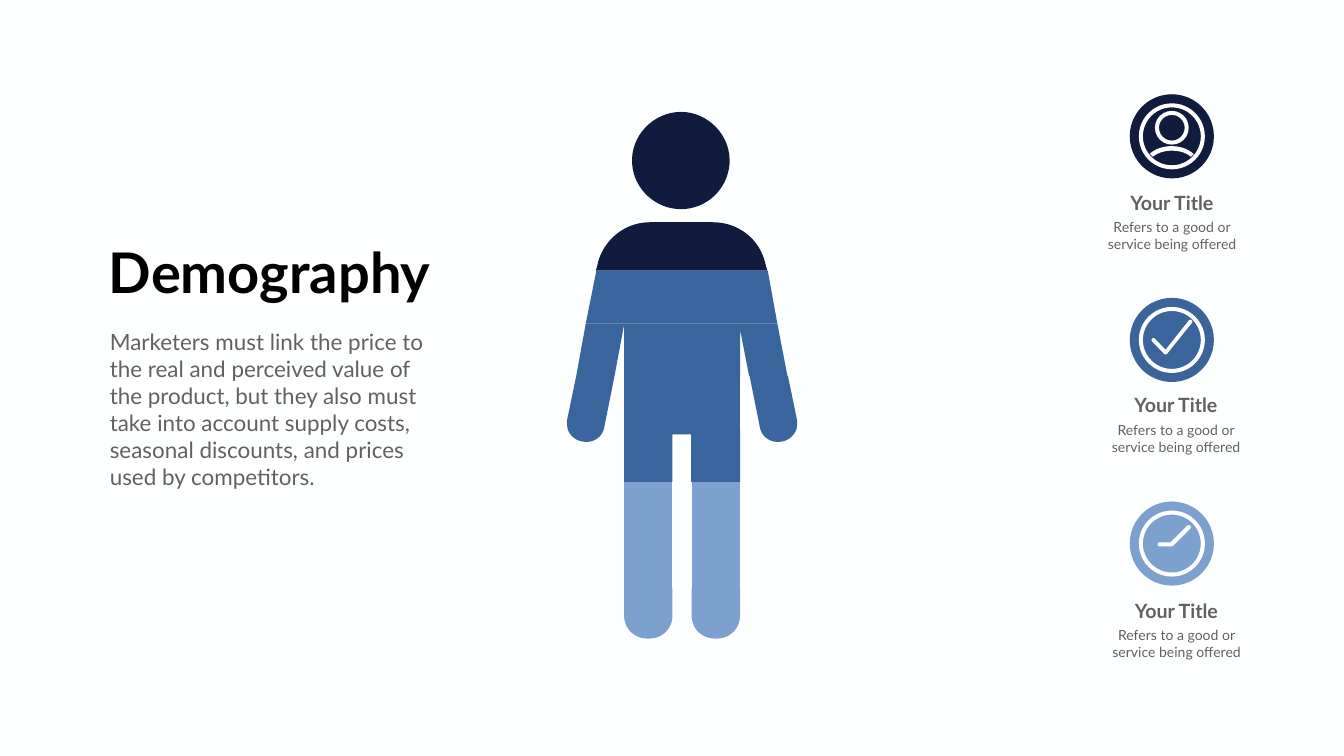
import pptx
import pptx.util
import pptx.dml.color
import pptx.enum.shapes
import pptx.enum.text

Inches = pptx.util.Inches
RGBColor = pptx.dml.color.RGBColor
SHAPES = pptx.enum.shapes.MSO_SHAPE
ALIGN = pptx.enum.text.PP_ALIGN

PAPER = RGBColor(0xFE, 0xFF, 0xFF)
WHITE = RGBColor(0xFF, 0xFF, 0xFF)
BLACK = RGBColor(0x00, 0x00, 0x00)
GREY = RGBColor(0x61, 0x61, 0x61)
NAVY = RGBColor(0x11, 0x1B, 0x3E)
BLUE = RGBColor(0x39, 0x65, 0x9C)
HAND_BLUE = RGBColor(0x3A, 0x66, 0x9D)
SKY = RGBColor(0x7C, 0xA1, 0xCF)

CURVE_STEPS = 16
BODY_AXIS = 13.53
ICON_X, ICON_TOP, ICON_STEP, ICON_SIZE = 22.41, 1.87, 4.04, 1.67
RING_INSET, RING_SIZE = 0.18, 1.31

# An outline holds points (x, y) and curves (control, control, end).
HEAD_AND_TORSO = [
    (NAVY, [(12.54, 3.27), ((12.49, 2.69), (12.97, 2.22), (13.51, 2.22)),
            ((14.04, 2.22), (14.52, 2.69), (14.47, 3.27))]),
    (NAVY, [(12.54, 3.26), (14.47, 3.26), ((14.43, 3.76), (14.01, 4.15), (13.51, 4.15)),
            ((13.01, 4.15), (12.58, 3.76), (12.54, 3.26))]),
    (NAVY, [(11.82, 5.37), (11.85, 5.26), ((11.95, 4.78), (12.38, 4.41), (12.89, 4.41)),
            (14.14, 4.41), ((14.65, 4.41), (15.07, 4.75), (15.18, 5.22)), (15.22, 5.37)]),
    (BLUE, [(11.83, 5.37), (15.23, 5.37), (15.42, 6.42), (11.62, 6.42)]),
    (BLUE, [(11.43, 7.46), (12.19, 7.46), (12.38, 6.44), (12.38, 7.46), (14.68, 7.46),
            (14.68, 6.54), (14.86, 7.46), (15.62, 7.46), (15.42, 6.42), (11.62, 6.42)]),
    (BLUE, [(12.38, 7.46), (14.68, 7.46), (14.68, 8.51), (12.38, 8.51)]),
    (BLUE, [(12.38, 8.51), (14.68, 8.51), (14.68, 9.56), (13.71, 9.56), (13.71, 8.62),
            (13.34, 8.62), (13.34, 9.56), (12.38, 9.56)]),
]
LEFT_LIMBS = [
    (BLUE, [(12.19, 7.46), (11.43, 7.46), (11.25, 8.33),
            ((11.24, 8.39), (11.25, 8.46), (11.26, 8.51)), (11.98, 8.51)]),
    (HAND_BLUE, [(11.26, 8.51), ((11.3, 8.64), (11.42, 8.74), (11.55, 8.76)),
                 ((11.75, 8.8), (11.93, 8.69), (11.98, 8.51))]),
    (SKY, [(12.38, 9.57), (13.34, 9.57), (13.34, 10.61), (12.38, 10.61)]),
    (SKY, [(12.38, 10.61), (13.34, 10.61), (13.34, 11.66), (12.38, 11.66)]),
    (SKY, [(12.38, 11.66), (12.38, 12.21), ((12.38, 12.47), (12.58, 12.67), (12.84, 12.67)),
           (12.88, 12.67), ((13.14, 12.67), (13.34, 12.47), (13.34, 12.21)), (13.34, 11.66)]),
]
SHOULDERS = [(22.81, 3.05), ((22.92, 2.95), (23.08, 2.9), (23.24, 2.9)),
             ((23.42, 2.9), (23.58, 2.96), (23.68, 3.06)), (23.62, 3.11),
             ((23.53, 3.03), (23.4, 2.99), (23.24, 2.99)),
             ((23.1, 2.99), (22.97, 3.03), (22.87, 3.11))]
CHECK_MARK = [(22.85, 6.77), ((22.82, 6.73), (22.88, 6.69), (22.91, 6.72)),
              (23.12, 6.94), (23.58, 6.36), ((23.61, 6.32), (23.68, 6.36), (23.64, 6.41)),
              (23.15, 7.02), ((23.14, 7.03), (23.11, 7.04), (23.09, 7.02))]
CLOCK_HANDS = [(23.61, 10.49), (23.28, 10.82), ((23.27, 10.83), (23.26, 10.84), (23.24, 10.84)),
               (23, 10.84), ((22.95, 10.84), (22.95, 10.76), (23, 10.76)),
               (23.22, 10.76), (23.55, 10.43), ((23.59, 10.39), (23.65, 10.45), (23.61, 10.49))]

# Disc colour, white glyph, and left and top of the caption title.
TOPICS = [
    (NAVY, SHOULDERS, 22.28, 3.73),
    (BLUE, CHECK_MARK, 22.36, 7.75),
    (SKY, CLOCK_HANDS, 22.37, 11.83),
]


def paint(shape, color):
    shape.shadow.inherit = False
    shape.fill.solid()
    shape.fill.fore_color.rgb = color
    shape.line.fill.background()


def flatten(outline):
    """Turn the curves of an outline into short straight steps."""
    points = []
    for part in outline:
        if len(part) == 2:
            points.append(part)
            continue
        bezier = (points[-1], *part)
        for step in range(1, CURVE_STEPS + 1):
            t = step / CURVE_STEPS
            weights = ((1 - t) ** 3, 3 * t * (1 - t) ** 2, 3 * t * t * (1 - t), t ** 3)
            points.append(tuple(sum(w * p[axis] for w, p in zip(weights, bezier))
                                for axis in (0, 1)))
    return points


def add_outline(slide, outline, color, mirrored=False):
    corners = [(Inches(2 * BODY_AXIS - x if mirrored else x), Inches(y))
               for x, y in flatten(outline)]
    builder = slide.shapes.build_freeform(*corners[0], scale=1.0)
    builder.add_line_segments(corners[1:], close=True)
    paint(builder.convert_to_shape(), color)


def add_round(slide, kind, left, top, size, color, thickness=None):
    shape = slide.shapes.add_shape(kind, Inches(left), Inches(top), Inches(size), Inches(size))
    if thickness:
        shape.adjustments[0] = thickness / size
    paint(shape, color)


def add_text(slide, box, lines, size, color=GREY, bold=False, align=ALIGN.CENTER, wrap=True):
    frame = slide.shapes.add_textbox(*map(Inches, box)).text_frame
    frame.word_wrap = wrap
    frame.auto_size = pptx.enum.text.MSO_AUTO_SIZE.SHAPE_TO_FIT_TEXT
    font_format = {"name": "Lato", "size": pptx.util.Pt(size), "bold": bold}
    for index, line in enumerate(lines):
        paragraph = frame.add_paragraph() if index else frame.paragraphs[0]
        paragraph.alignment = align
        run = paragraph.add_run()
        run.text = line
        for key, value in font_format.items():
            setattr(run.font, key, value)
        run.font.color.rgb = color


def add_person(slide):
    for color, outline in HEAD_AND_TORSO:
        add_outline(slide, outline, color)
    for color, outline in LEFT_LIMBS:
        for mirrored in (False, True):
            add_outline(slide, outline, color, mirrored)


def add_topic(slide, disc_top, color, glyph, title_left, title_top):
    add_round(slide, SHAPES.OVAL, ICON_X, disc_top, ICON_SIZE, color)
    add_round(slide, SHAPES.DONUT, ICON_X + RING_INSET, disc_top + RING_INSET,
              RING_SIZE, WHITE, 0.08)
    add_outline(slide, glyph, WHITE)
    add_text(slide, (title_left - 0.47, title_top + 0.56, 2.88, 0.77),
             ["Refers to a good or", "service being offered"], 20)
    add_text(slide, (title_left, title_top, 1.93, 0.57), ["Your Title"], 28, bold=True)


def main():
    deck = pptx.Presentation()
    deck.slide_width, deck.slide_height = Inches(26.66), Inches(15)
    slide = deck.slides.add_slide(deck.slide_layouts[6])
    slide.background.fill.solid()
    slide.background.fill.fore_color.rgb = PAPER

    add_person(slide)
    for index, topic in enumerate(TOPICS):
        add_topic(slide, ICON_TOP + index * ICON_STEP, *topic)
    add_round(slide, SHAPES.DONUT, 22.91, 2.2, 0.67, WHITE, 0.08)

    add_text(slide, (1.99, 4.66, 6.72, 1.45), ["Demography"], 80, BLACK, bold=True, wrap=False)
    add_text(slide, (2.08, 6.47, 6.67, 3.33),
             ["Marketers must link the price to the real and perceived value of the product, "
              "but they also must take into account supply costs, seasonal discounts, "
              "and prices used by competitors."], 32, align=ALIGN.LEFT)
    deck.save("out.pptx")


if __name__ == "__main__":
    main()
